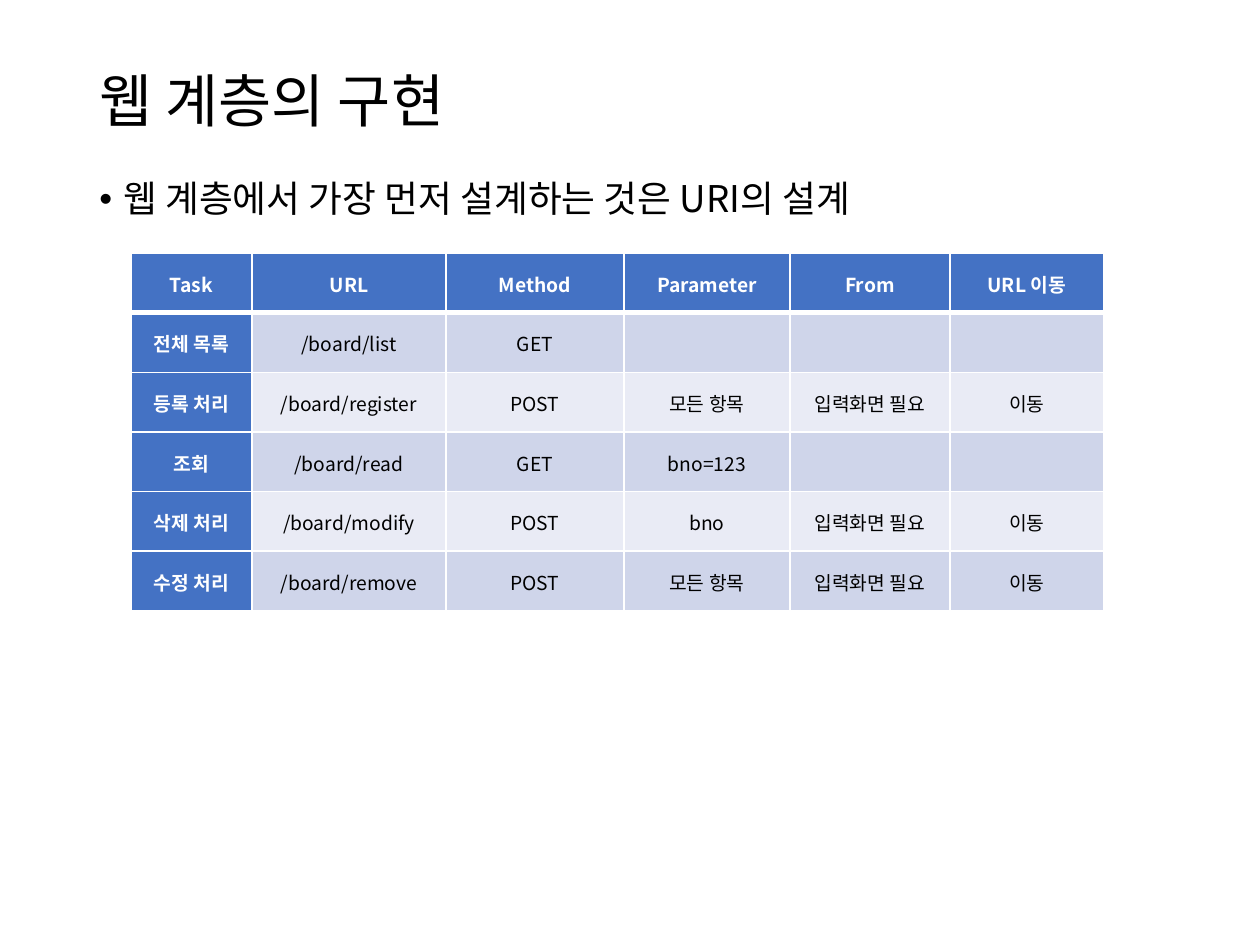
from lxml.etree import SubElement
from pptx import Presentation
from pptx.dml.color import RGBColor
from pptx.enum.text import MSO_ANCHOR as Anchor, MSO_AUTO_SIZE as AutoSize, PP_ALIGN as Align
from pptx.oxml.ns import qn
from pptx.util import Emu, Pt

PX = 914400 / 126
FONT = "Noto Sans CJK KR"
BLACK = RGBColor(0x00, 0x00, 0x00)
WHITE = RGBColor(0xFF, 0xFF, 0xFF)
BLUE = RGBColor(0x44, 0x72, 0xC4)
BANDS = (RGBColor(0xCF, 0xD5, 0xEA), RGBColor(0xE9, 0xEB, 0xF5))

COLUMNS = (121, 194, 178, 166, 160, 154)
ROWS = (
    ("Task", "URL", "Method", "Parameter", "From", "URL 이동"),
    ("전체 목록", "/board/list", "GET", "", "", ""),
    ("등록 처리", "/board/register", "POST", "모든 항목", "입력화면 필요", "이동"),
    ("조회", "/board/read", "GET", "bno=123", "", ""),
    ("삭제 처리", "/board/modify", "POST", "bno", "입력화면 필요", "이동"),
    ("수정 처리", "/board/remove", "POST", "모든 항목", "입력화면 필요", "이동"),
)


def px(length):
    """Turn pixels into EMU."""
    return Emu(round(length * PX))


def write(frame, text, size=11, color=BLACK, bold=False, align=Align.LEFT, spacing=0.9, before=0):
    """Write one formatted paragraph into a text frame and return it."""
    para = frame.paragraphs[0]
    para.alignment = align
    para.line_spacing = spacing
    para.space_before = Pt(before)
    span = para.add_run()
    span.text = text
    span.font.name = FONT
    span.font.size = Pt(size)
    span.font.bold = bold
    span.font.color.rgb = color
    return para


class SlideBuilder:
    """Holds the current slide and draws each kind of element in one style."""

    def __init__(self, page):
        """Keep the slide to draw on."""
        self.page = page

    def title(self, text, left, top, width, height):
        """Place and fill the title placeholder."""
        box = self.page.shapes.title
        box.left, box.top, box.width, box.height = map(px, (left, top, width, height))
        box.text_frame.auto_size = AutoSize.NONE
        box.text_frame.vertical_anchor = Anchor.MIDDLE
        write(box.text_frame, text, size=33)

    def bullet(self, text, left, top, width, height, indent=24):
        """Add a text box with one bulleted paragraph."""
        box = self.page.shapes.add_textbox(*map(px, (left, top, width, height)))
        box.text_frame.word_wrap = True
        para = write(box.text_frame, text, size=21, before=7.5)
        props = para._p.get_or_add_pPr()
        props.set("marL", str(px(indent)))
        props.set("indent", str(-px(indent)))
        SubElement(props, qn("a:buFont"), typeface="Arial")
        SubElement(props, qn("a:buChar"), char="•")

    def table(self, rows, columns, left, top, height):
        """Add a table with a blue header row and column and banded body rows."""
        area = map(px, (left, top, sum(columns), height))
        table = self.page.shapes.add_table(len(rows), len(columns), *area).table
        for column, width in zip(table.columns, columns):
            column.width = px(width)
        for i, texts in enumerate(rows):
            for j, text in enumerate(texts):
                heading = i == 0 or j == 0
                fill = BLUE if heading else BANDS[(i - 1) % 2]
                self.cell(table.cell(i, j), text, fill, heading,
                          top=3 if i == 1 else 1, bottom=3 if i == 0 else 1)

    def cell(self, cell, text, fill, heading, top, bottom):
        """Style one table cell and write its text."""
        cell.margin_left = cell.margin_right = px(9)
        cell.margin_top = cell.margin_bottom = 0
        cell.vertical_anchor = Anchor.MIDDLE
        props = cell._tc.get_or_add_tcPr()
        for side, width in (("L", 1), ("R", 1), ("T", top), ("B", bottom)):
            line = SubElement(props, qn(f"a:ln{side}"), w=str(Pt(width)))
            SubElement(SubElement(line, qn("a:solidFill")), qn("a:srgbClr"), val=str(WHITE))
        cell.fill.solid()
        cell.fill.fore_color.rgb = fill
        if text:
            write(cell.text_frame, text, color=WHITE if heading else BLACK,
                  bold=heading, align=Align.CENTER, spacing=1.07)


def main():
    """Build the slide and save the deck."""
    deck = Presentation()
    deck.slide_width, deck.slide_height = px(1260), px(945)
    builder = SlideBuilder(deck.slides.add_slide(deck.slide_layouts[5]))
    builder.title("웹 계층의 구현", 87, 50, 1086, 107)
    builder.bullet("웹 계층에서 가장 먼저 설계하는 것은 URI의 설계", 87, 175, 1086, 677)
    builder.table(ROWS, COLUMNS, 131, 253, 358)
    deck.save("out.pptx")


if __name__ == "__main__":
    main()
